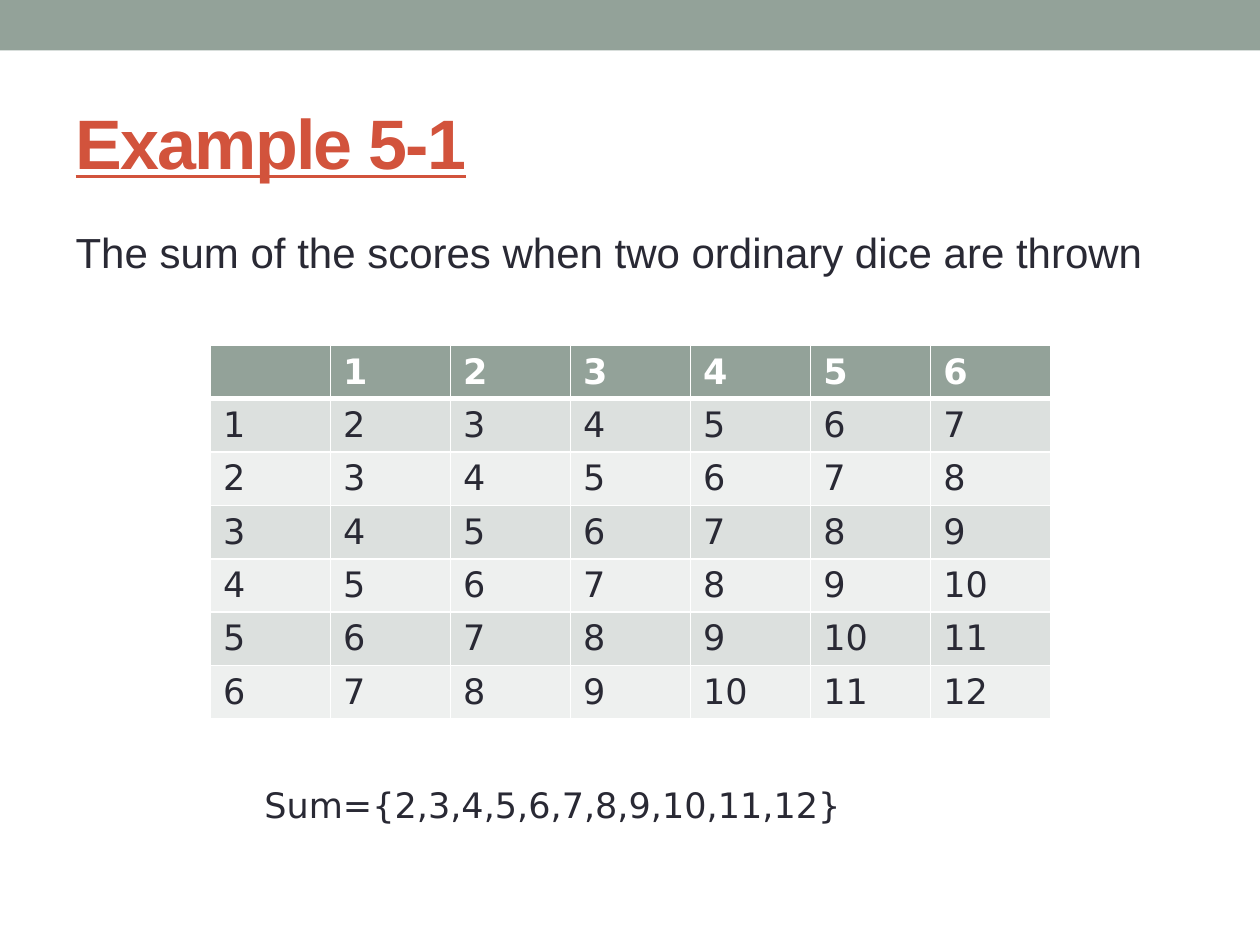
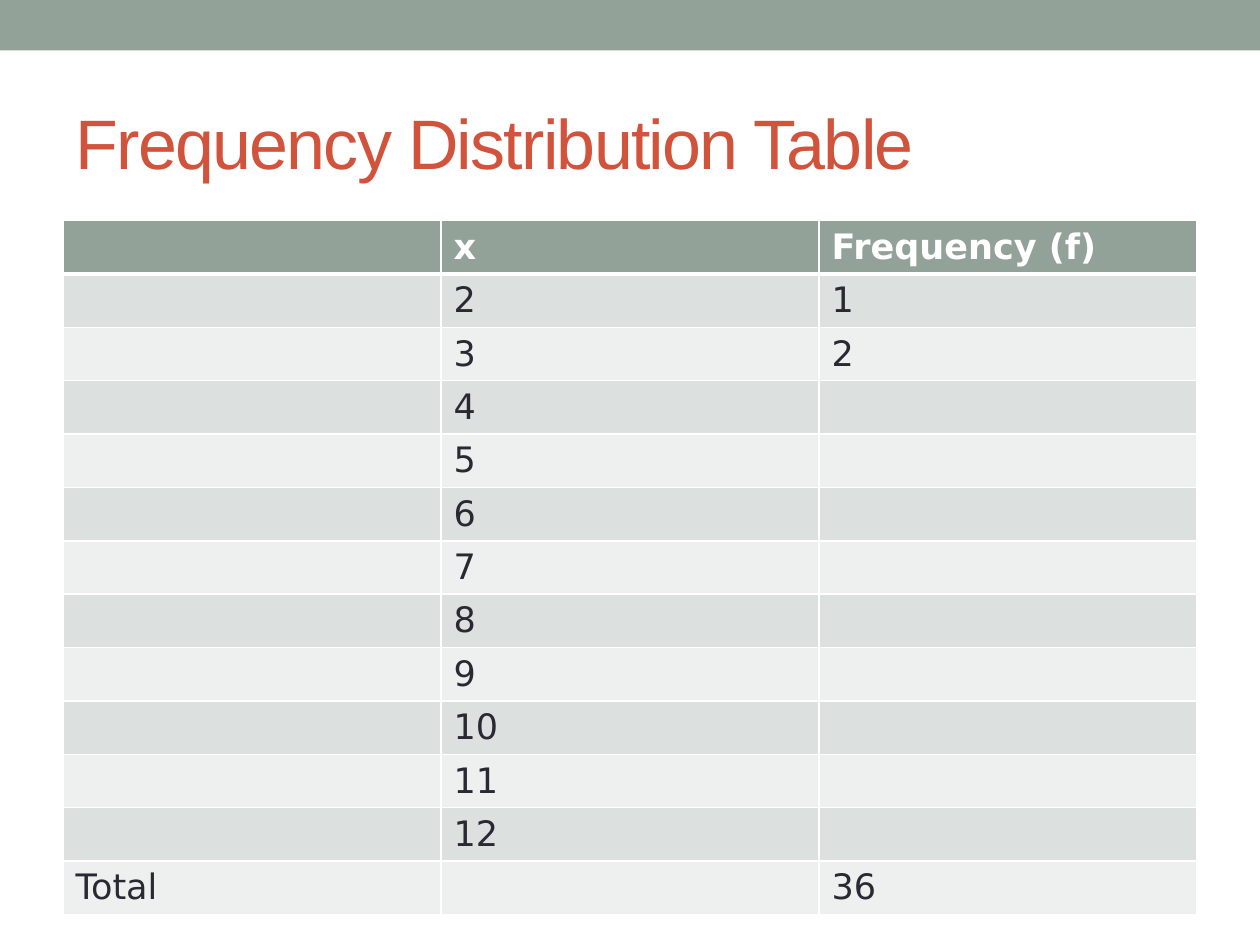
import pptx
import pptx.dml.color
import pptx.enum.shapes
import pptx.enum.text
import pptx.oxml
import pptx.oxml.ns
import pptx.util
from pptx.util import Inches

COLORS = {"sage": "93A299", "rust": "D2533C", "ink": "292934", "white": "FFFFFF",
          "odd_row": "DCE0DE", "even_row": "EEF0EF"}
HEADING_FONT, TABLE_FONT = "Arial", "DejaVu Sans"
SLIDE_BOX = (Inches(10), Inches(7.5))
TITLE_BOX = (Inches(0.5), Inches(0.58), Inches(9), Inches(1.08))
BODY_BOX = (Inches(0.5), Inches(1.75), Inches(9), Inches(5.33))
ROW_HEIGHT = Inches(0.41)


def rgb(name):
    """Return the palette colour of that name."""
    return pptx.dml.color.RGBColor.from_string(COLORS[name])


def write(frame, text, size=20, font=TABLE_FONT, color="ink", bold=False,
          underline=False, spacing=None):
    """Put one formatted run into the text frame and return its paragraph."""
    paragraph = frame.paragraphs[0]
    paragraph.alignment = pptx.enum.text.PP_ALIGN.LEFT
    run = paragraph.add_run()
    run.text = text
    run.font.size = pptx.util.Pt(size)
    run.font.name = font
    run.font.bold = bold
    run.font.underline = underline
    run.font.color.rgb = rgb(color)
    if spacing is not None:
        run.font._element.set("spc", str(spacing * 100))
    return paragraph


def place(shape, box):
    """Move and size a shape to the box."""
    shape.left, shape.top, shape.width, shape.height = box


def add_titled_slide(deck, layout, title, **title_format):
    """Add a slide with the top band and the shared title style."""
    slide = deck.slides.add_slide(deck.slide_layouts[layout])
    band = slide.shapes.add_shape(pptx.enum.shapes.MSO_SHAPE.RECTANGLE,
                                  0, 0, SLIDE_BOX[0], Inches(0.4))
    band.shadow.inherit = False
    band.fill.solid()
    band.fill.fore_color.rgb = rgb("sage")
    band.line.fill.background()
    heading = slide.shapes.title
    place(heading, TITLE_BOX)
    heading.text_frame.vertical_anchor = pptx.enum.text.MSO_ANCHOR.MIDDLE
    write(heading.text_frame, title, size=40, font=HEADING_FONT, color="rust",
          spacing=-1, **title_format)
    return slide


def add_statement(slide, text, box):
    """Fill the body placeholder with one unbulleted line."""
    statement = slide.placeholders[1]
    place(statement, box)
    properties = write(statement.text_frame, text, size=24,
                       font=HEADING_FONT)._p.get_or_add_pPr()
    properties.set("marL", "0")
    properties.set("indent", "0")
    properties.append(pptx.oxml.parse_xml(
        f"<a:buNone {pptx.oxml.ns.nsdecls('a')}/>"))


def set_borders(cell, top, bottom):
    """Draw white borders, one point wide at the sides."""
    properties = cell._tc.get_or_add_tcPr()
    widths = {"L": 1, "R": 1, "T": top, "B": bottom}
    for position, (side, width) in enumerate(widths.items()):
        properties.insert(position, pptx.oxml.parse_xml(
            f'<a:ln{side} {pptx.oxml.ns.nsdecls("a")} w="{pptx.util.Pt(width)}">'
            f'<a:solidFill><a:srgbClr val="{COLORS["white"]}"/></a:solidFill>'
            f'</a:ln{side}>'))


def add_banded_table(slide, rows, left, top, width):
    """Add a table with a sage header and alternating row fills."""
    columns = len(rows[0])
    table = slide.shapes.add_table(len(rows), columns, left, top, width,
                                   ROW_HEIGHT * len(rows)).table
    for column in table.columns:
        column.width = width // columns
    for r, values in enumerate(rows):
        header = r == 0
        fill = "sage" if header else "odd_row" if r % 2 else "even_row"
        for c, value in enumerate(values):
            cell = table.cell(r, c)
            cell.fill.solid()
            cell.fill.fore_color.rgb = rgb(fill)
            set_borders(cell, top=3 if r == 1 else 1, bottom=3 if header else 1)
            if value != "":
                write(cell.text_frame, str(value), bold=header,
                      color="white" if header else "ink")


def add_sum_set(slide, text, box):
    """Add the line that lists the possible sums."""
    sum_set = slide.shapes.add_textbox(*box)
    sum_set.text_frame.word_wrap = True
    sum_set.text_frame.auto_size = pptx.enum.text.MSO_AUTO_SIZE.SHAPE_TO_FIT_TEXT
    write(sum_set.text_frame, text)


def build_dice_slide(deck):
    """Build the example with the sums of two dice."""
    slide = add_titled_slide(deck, 1, "Example 5-1", bold=True, underline=True)
    add_statement(slide, "The sum of the scores when two ordinary dice are thrown",
                  BODY_BOX)
    faces = range(1, 7)
    sums = [["", *faces]] + [[a, *(a + b for b in faces)] for a in faces]
    add_banded_table(slide, sums, Inches(1.67), Inches(2.74), Inches(6.67))
    add_sum_set(slide, "Sum={2,3,4,5,6,7,8,9,10,11,12}",
                (Inches(2), Inches(6.17), Inches(5.5), Inches(0.44)))


def build_frequency_slide(deck):
    """Build the partly filled frequency distribution."""
    slide = add_titled_slide(deck, 5, "Frequency Distribution Table")
    known = {2: 1, 3: 2}
    frequencies = [["", "x", "Frequency (f)"],
                   *(["", x, known.get(x, "")] for x in range(2, 13)),
                   ["Total", "", 36]]
    add_banded_table(slide, frequencies, *BODY_BOX[:3])


def main():
    """Build and save the deck."""
    deck = pptx.Presentation()
    deck.slide_width, deck.slide_height = SLIDE_BOX
    build_dice_slide(deck)
    build_frequency_slide(deck)
    deck.save("out.pptx")


if __name__ == "__main__":
    main()
